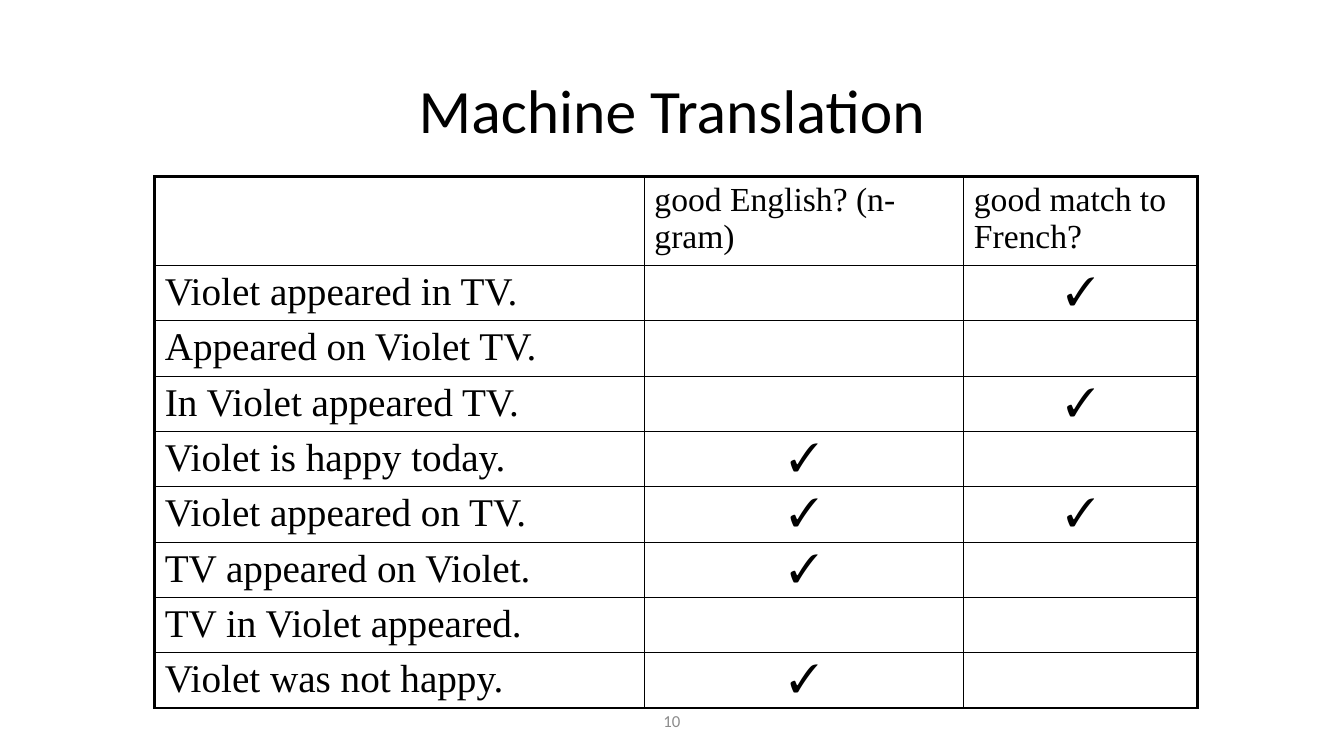
from lxml import etree
from pptx import Presentation
from pptx import util as u
from pptx.dml.color import RGBColor
from pptx.enum import text
from pptx.oxml.ns import qn

BLACK, GREY = "000000", "8C8C8C"
THIN, THICK = 1, 2.25
CHECK = "✓"
COLUMN_WIDTHS = (12.34, 8.05, 5.89)
HEADER_HEIGHT, ROW_HEIGHT = 2.07, 1.38
BOTTOM_MARGIN = 0.08
HEADERS = ("", "good English? (n-gram)", "good match to French?")
# Sentence, good English, good match
SENTENCES = (
    ("Violet appeared in TV.", False, True),
    ("Appeared on Violet TV.", False, False),
    ("In Violet appeared TV.", False, True),
    ("Violet is happy today.", True, False),
    ("Violet appeared on TV.", True, True),
    ("TV appeared on Violet.", True, False),
    ("TV in Violet appeared.", False, False),
    ("Violet was not happy.", True, False),
)


def color(hex_string):
    return RGBColor.from_string(hex_string)


def write(frame, content, font_name, size, hex_string, alignment):
    paragraph = frame.paragraphs[0]
    paragraph.text = content
    paragraph.alignment = alignment
    paragraph.font.name = font_name
    paragraph.font.size = u.Pt(size)
    paragraph.font.color.rgb = color(hex_string)
    return paragraph


def place(shape, box):
    shape.left, shape.top, shape.width, shape.height = (u.Cm(length) for length in box)


def set_border(cell, side, points):
    properties = cell._tc.get_or_add_tcPr()
    line = etree.SubElement(properties, qn(f"a:ln{side}"), w=str(u.Pt(points)))
    fill = etree.SubElement(line, qn("a:solidFill"))
    etree.SubElement(fill, qn("a:srgbClr"), val=BLACK)


def add_title(slide, box):
    title = slide.shapes.title
    place(title, box)
    title.text_frame.vertical_anchor = text.MSO_ANCHOR.MIDDLE
    paragraph = write(title.text_frame, "Machine Translation", "Calibri", 44, BLACK,
                      text.PP_ALIGN.CENTER)
    paragraph.line_spacing = 0.9


def add_sentence_table(slide, left, top):
    rows = [HEADERS] + [
        (sentence, *(CHECK if mark else "" for mark in marks))
        for sentence, *marks in SENTENCES
    ]
    heights = [HEADER_HEIGHT] + [ROW_HEIGHT] * len(SENTENCES)
    table = slide.shapes.add_table(
        len(rows), len(COLUMN_WIDTHS), u.Cm(left), u.Cm(top),
        u.Cm(sum(COLUMN_WIDTHS)), u.Cm(sum(heights))).table
    table.first_row = table.horz_banding = False
    for column, width in zip(table.columns, COLUMN_WIDTHS):
        column.width = u.Cm(width)

    last_row, last_column = len(rows) - 1, len(COLUMN_WIDTHS) - 1
    for r, contents in enumerate(rows):
        table.rows[r].height = u.Cm(heights[r])
        for c, content in enumerate(contents):
            cell = table.cell(r, c)
            cell.margin_bottom = u.Cm(BOTTOM_MARGIN)
            # Thick outer frame, thin inner grid
            outer = {"L": c == 0, "R": c == last_column, "T": r == 0, "B": r == last_row}
            for side, is_outer in outer.items():
                set_border(cell, side, THICK if is_outer else THIN)
            cell.fill.background()
            if content:
                alignment = text.PP_ALIGN.CENTER if content == CHECK else text.PP_ALIGN.LEFT
                write(cell.text_frame, content, "Times New Roman",
                      28 if r else 24, BLACK, alignment)


def add_page_number(slide, box):
    shape = slide.shapes.add_textbox(*(u.Cm(length) for length in box))
    shape.text_frame.word_wrap = True
    shape.text_frame.vertical_anchor = text.MSO_ANCHOR.MIDDLE
    write(shape.text_frame, "10", "Calibri", 12, GREY, text.PP_ALIGN.CENTER)


def main():
    presentation = Presentation()
    presentation.slide_width, presentation.slide_height = u.Cm(33.87), u.Cm(19.05)
    slide = presentation.slides.add_slide(presentation.slide_layouts[5])
    add_page_number(slide, (11.22, 17.66, 11.43, 1.01))
    add_title(slide, (2.33, 1.01, 29.21, 3.68))
    add_sentence_table(slide, 3.9, 4.45)
    presentation.save("out.pptx")


if __name__ == "__main__":
    main()
